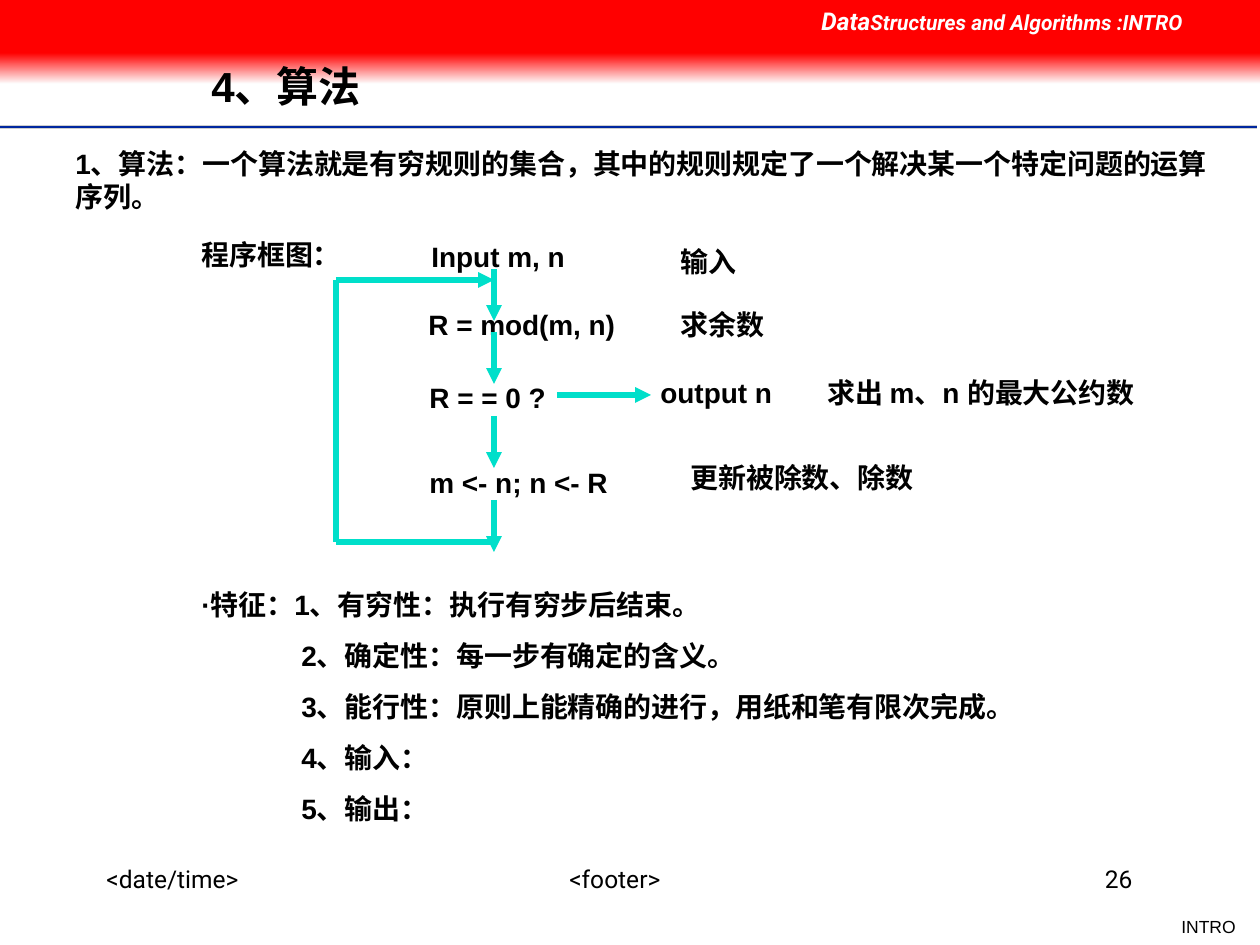
from lxml.etree import SubElement as Sub
from pptx import Presentation
from pptx.dml.color import RGBColor
from pptx.enum.shapes import MSO_CONNECTOR as Conn, MSO_SHAPE as Kind
from pptx.enum.text import MSO_ANCHOR as Anchor, PP_ALIGN as Align
from pptx.oxml.ns import qn
from pptx.util import Emu, Pt

BLACK = RGBColor(0x00, 0x00, 0x00)
WHITE = RGBColor(0xFF, 0xFF, 0xFF)
PALE = RGBColor(0xFE, 0xFE, 0xFE)
RED = RGBColor(0xFF, 0x00, 0x00)
GREY = RGBColor(0xCE, 0xCE, 0xCE)
NAVY = RGBColor(0x00, 0x27, 0x9F)
TEAL = RGBColor(0x00, 0xDF, 0xCA)

RULES = [(127, GREY, 2), (127, NAVY, 1), (130, WHITE, 1)]
FOOT = [
    ("<date/time>", 94, 242, Align.LEFT),
    ("<footer>", 431, 368, Align.CENTER),
    ("26", 903, 242, Align.RIGHT),
]
HEAD = [("Data", 14), ("Structures and Algorithms :INTRO", 12)]
TITLE = "4、算法"
INTRO = "1、算法：一个算法就是有穷规则的集合，其中的规则规定了一个解决某一个特定问题的运算序列。"
LABELS = [
    ("程序框图：", 189, 231),
    ("Input m, n", 419, 233),
    ("R = mod(m, n)", 416, 301),
    ("R = = 0 ?", 417, 374),
    ("m <- n; n <- R", 417, 459),
    ("output n", 648, 369),
    ("输入", 668, 238),
    ("求余数", 668, 301),
    ("更新被除数、除数", 678, 454),
    ("求出 m、n 的最大公约数", 815, 369),
]
TRAITS = [
    "·特征：1、有穷性：执行有穷步后结束。",
    "2、确定性：每一步有确定的含义。",
    "3、能行性：原则上能精确的进行，用纸和笔有限次完成。",
    "4、输入：",
    "5、输出：",
]
AXIS, LOOP, TOP, BASE = 494, 336, 280, 542
STEPS = [269, 332, 416, 500]
DROP = 52
LINKS = [(AXIS, y, AXIS, y + DROP, True) for y in STEPS] + [
    (LOOP, BASE, AXIS, BASE, False),
    (LOOP, TOP, LOOP, BASE, False),
    (LOOP, TOP, AXIS, TOP, True),
    (557, 395, 651, 395, True),
]


def px(num):
    """Turn pixels into EMU."""
    return Emu(round(num * 914400 / 126))


def write(slide, text, box, size=16, font="Arial", color=BLACK, bold=True,
          italic=False, align=Align.LEFT, anchor=Anchor.TOP, dents=(0,), lead=None):
    """Add a text box; text is a list of paragraphs, each a string or sized runs."""
    frame = slide.shapes.add_textbox(*map(px, box)).text_frame
    frame.word_wrap = True
    frame.vertical_anchor = anchor
    for i, part in enumerate(text):
        para = frame.add_paragraph() if i else frame.paragraphs[0]
        para.alignment = align
        para.space_before = Pt(10 if i else 0)
        if lead:
            para.line_spacing = lead
        dent = dents[min(i, len(dents) - 1)]
        if dent:
            props = para._p.get_or_add_pPr()
            props.set("marL", str(px(dent)))
            props.set("indent", "0")
        for words, pts in [(part, size)] if isinstance(part, str) else part:
            run = para.add_run()
            run.text = words
            run.font.size = Pt(pts)
            run.font.name = font
            run.font.bold = bold
            run.font.italic = italic
            run.font.color.rgb = color


def link(slide, ends, color, width, arrow=False):
    """Add a straight line, with an arrowhead if asked."""
    line = slide.shapes.add_connector(Conn.STRAIGHT, *map(px, ends))
    line.line.color.rgb = color
    line.line.width = Pt(width)
    if arrow:
        Sub(line.line._get_or_add_ln(), qn("a:tailEnd"), type="triangle")
    Sub(line._element.spPr, qn("a:effectLst"))


def band(slide, top, high):
    """Add a full-width bar and return its fill."""
    bar = slide.shapes.add_shape(Kind.RECTANGLE, *map(px, (0, top, 1260, high)))
    bar.shadow.inherit = False
    bar.line.fill.background()
    return bar.fill


def main():
    """Build the slide."""
    deck = Presentation()
    deck.slide_width, deck.slide_height = px(1260), px(945)
    slide = deck.slides.add_slide(deck.slide_layouts[6])

    for y, color, width in RULES:
        link(slide, (0, y, 1257, y), color, width)
    write(slide, ["INTRO"], (1148, 910, 100, 34), size=10, bold=False, align=Align.RIGHT)
    for text, left, wide, align in FOOT:
        write(slide, [text], (left, 858, wide, 63), size=14, font="Roboto",
              bold=False, align=align)

    fade = band(slide, 53, 31)
    fade.gradient()
    fade.gradient_angle = 270
    for stop, color in zip(fade.gradient_stops, (RED, PALE)):
        stop.color.rgb = color
    solid = band(slide, 0, 53)
    solid.solid()
    solid.fore_color.rgb = RED

    write(slide, [HEAD], (809, 0, 451, 43), font="Roboto", color=WHITE, italic=True)
    write(slide, [TITLE], (199, 42, 951, 93), size=24, anchor=Anchor.MIDDLE, lead=0.9)
    write(slide, [INTRO], (0, 140, 1240, 81), dents=(63,))
    for text, left, top in LABELS:
        write(slide, [text], (left, top, 400, 47))
    for *ends, arrow in LINKS:
        link(slide, ends, TEAL, 3, arrow)
    write(slide, TRAITS, (0, 581, 1260, 251), dents=(189, 289))

    deck.save("out.pptx")


if __name__ == "__main__":
    main()
